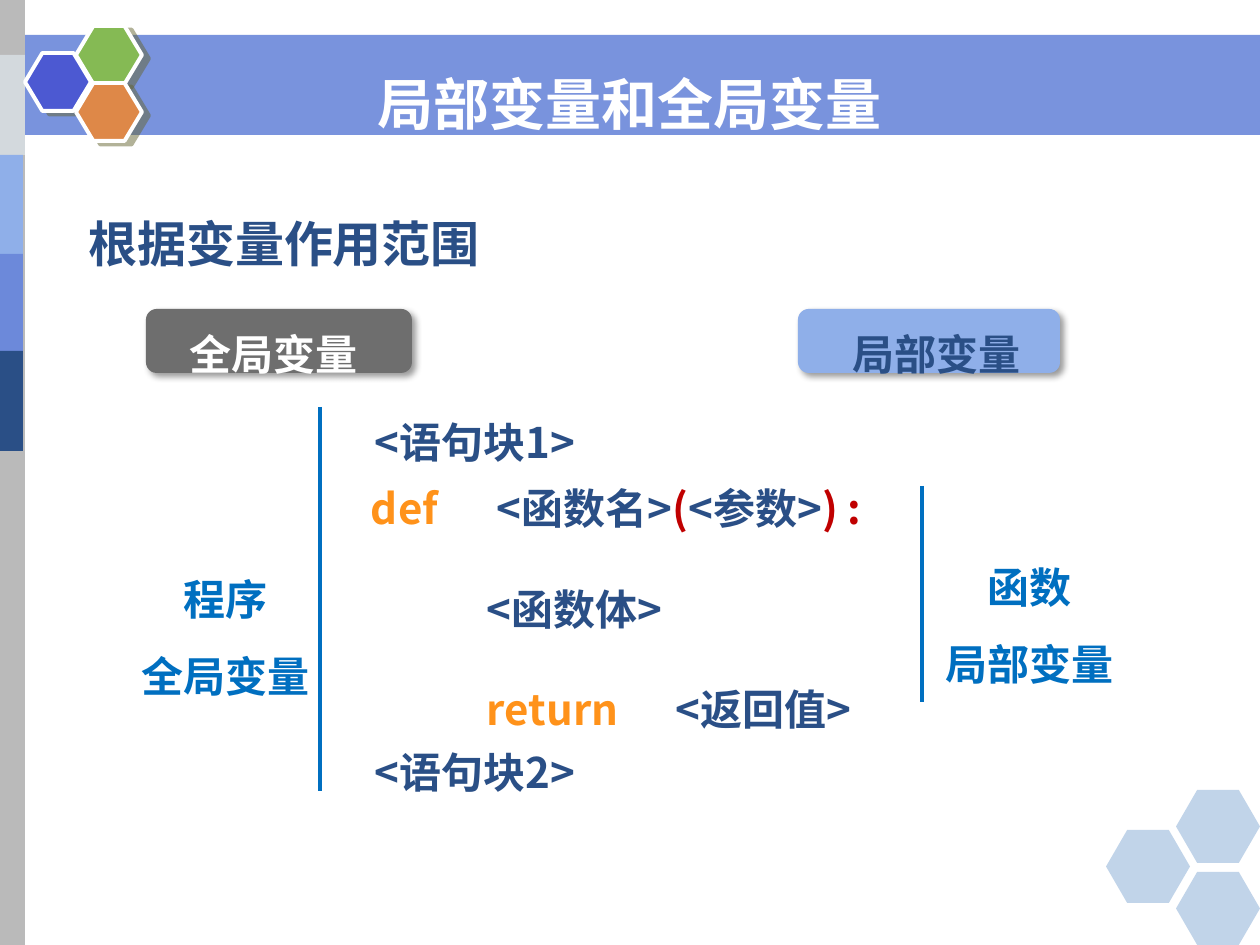
import pptx
import pptx.dml.color
import pptx.enum.dml
import pptx.enum.shapes
import pptx.enum.text
import pptx.oxml
import pptx.oxml.ns
import pptx.util

RGB = pptx.dml.color.RGBColor
SHAPE = pptx.enum.shapes.MSO_SHAPE
ALIGN = pptx.enum.text.PP_ALIGN
ANCHOR = pptx.enum.text.MSO_ANCHOR

WHITE = RGB(0xFF, 0xFF, 0xFF)
BAND = RGB(0x6C, 0x89, 0xDA)
RAIL = RGB(0xBA, 0xBA, 0xBA)
PALE = RGB(0xD3, 0xD9, 0xDD)
SKY = RGB(0x8F, 0xAF, 0xE9)
NAVY = RGB(0x2A, 0x4F, 0x86)
INDIGO = RGB(0x4C, 0x59, 0xD2)
GREEN = RGB(0x85, 0xBA, 0x54)
RUST = RGB(0xDE, 0x88, 0x48)
STEEL = RGB(0x50, 0x86, 0xC2)
GRAY = RGB(0x6E, 0x6E, 0x6E)
BLUE = RGB(0x00, 0x6F, 0xC0)
ORANGE = RGB(0xFF, 0x92, 0x1A)
RED = RGB(0xC0, 0x00, 0x00)
OLIVE = RGB(0x66, 0x66, 0x33)
BLACK = RGB(0x00, 0x00, 0x00)

SANS = "Noto Sans CJK SC"
TITLE_FONT = "DejaVu Sans"

BARS = [
    ((0, 35, 1260, 100), BAND, 91),
    ((-1, 0, 26, 945), RAIL, 100),
    ((0, 55, 25, 100), PALE, 100),
    ((-2, 155, 25, 100), SKY, 100),
    ((-2, 254, 25, 100), BAND, 100),
    ((-2, 351, 25, 100), NAVY, 100),
]
BADGE_HEXAGONS = [((25, 53), INDIGO), ((76, 26), GREEN), ((76, 83), RUST)]
CORNER_HEXAGONS = [(1106, 830), (1176, 790), (1176, 872)]
BADGE_SIZE, CORNER_SIZE = (66, 58), (84, 73)
BADGE_SHADOW = (OLIVE, 50, 0, 4.5, 27)
PILL_SHADOW = (BLACK, 40, 4, 3, 45)

PILLS = [
    ((798, 309, 262, 64), SKY, (798, 311, 277, 74), "局部变量", NAVY),
    ((146, 309, 266, 64), GRAY, (146, 311, 256, 74), "全局变量", WHITE),
]
STATEMENTS = [((374, 413, 438, 53), "<语句块1>"), ((374, 743, 394, 53), "<语句块2>")]
FUNCTION_BOX = (370, 479, 854, 256)
FUNCTION_LINES = [
    (1, 117, [("def\t", ORANGE), ("<函数名>", NAVY), ("(", RED), ("<参数>", NAVY), (") :", RED)]),
    (117, None, [("<函数体>", NAVY)]),
    (117, 304, [("return\t", ORANGE), ("<返回值>", NAVY)]),
]
SCOPES = [
    ((864, 534, 331, 156), ["函数", "局部变量"]),
    ((54, 546, 343, 156), ["程序", "全局变量"]),
]
SCOPE_LINES = [(922, 486, 702), (320, 407, 791)]


def px(count):
    return pptx.util.Emu(round(count * 914400 / 126))


def add_effects(shape, shadow):
    effects = pptx.oxml.parse_xml(f'<a:effectLst {pptx.oxml.ns.nsdecls("a")}/>')
    if shadow:
        color, alpha, blur, distance, angle = shadow
        effects.append(pptx.oxml.parse_xml(
            f'<a:outerShdw {pptx.oxml.ns.nsdecls("a")} blurRad="{blur * 12700}" '
            f'dist="{int(distance * 12700)}" dir="{angle * 60000}" algn="tl" rotWithShape="0">'
            f'<a:srgbClr val="{color}"><a:alpha val="{alpha * 1000}"/></a:srgbClr></a:outerShdw>'))
    shape._element.spPr.append(effects)


def add_solid(page, kind, place, color, alpha=100, outline=None, shadow=None, adjust=None):
    shape = page.shapes.add_shape(kind, *map(px, place))
    shape.fill.solid()
    shape.fill.fore_color.rgb = color
    if alpha < 100:
        tint = shape.fill._xPr.find(".//" + pptx.oxml.ns.qn("a:srgbClr"))
        tint.append(pptx.oxml.parse_xml(
            f'<a:alpha {pptx.oxml.ns.nsdecls("a")} val="{alpha * 1000}"/>'))
    if outline:
        shape.line.color.rgb = outline
        shape.line.width = pptx.util.Pt(2.25)
    else:
        shape.line.fill.background()
    if adjust:
        shape.adjustments[0] = adjust
    if shadow:
        add_effects(shape, shadow)
    else:
        shape.shadow.inherit = False


def add_text(page, place, lines, leading, size=24, face=SANS, align=ALIGN.LEFT,
             anchor=ANCHOR.TOP, tight=False, gap=0):
    box = page.shapes.add_textbox(*map(px, place))
    frame = box.text_frame
    settings = {"word_wrap": True, "vertical_anchor": anchor}
    if tight:
        settings.update(margin_left=0, margin_right=0, margin_top=px(1), margin_bottom=0)
    for name, value in settings.items():
        setattr(frame, name, value)
    for index, (indent, tab, spans) in enumerate(lines):
        para = frame.add_paragraph() if index else frame.paragraphs[0]
        props = para._p.get_or_add_pPr()
        if indent:
            props.set("marL", str(px(indent)))
            props.set("indent", "0")
        if tab:
            props.append(pptx.oxml.parse_xml(
                f'<a:tabLst {pptx.oxml.ns.nsdecls("a")}><a:tab pos="{px(tab)}" algn="l"/></a:tabLst>'))
        para.alignment = align
        para.line_spacing = pptx.util.Pt(leading)
        if index and gap:
            para.space_before = pptx.util.Pt(gap)
        for text, color in spans:
            span = para.add_run()
            span.text = text
            formats = {"name": face, "size": pptx.util.Pt(size), "bold": True}
            for name, value in formats.items():
                setattr(span.font, name, value)
            span.font.color.rgb = color


def plain(texts, color, indent=0):
    return [(indent, None, [(text, color)]) for text in texts]


def main():
    deck = pptx.Presentation()
    deck.slide_width, deck.slide_height = px(1260), px(945)
    page = deck.slides.add_slide(deck.slide_layouts[6])

    for place, color, alpha in BARS:
        add_solid(page, SHAPE.RECTANGLE, place, color, alpha)
    for corner, color in BADGE_HEXAGONS:
        add_solid(page, SHAPE.HEXAGON, corner + BADGE_SIZE, color, outline=WHITE,
                  shadow=BADGE_SHADOW, adjust=0.3)
    for corner in CORNER_HEXAGONS:
        add_solid(page, SHAPE.HEXAGON, corner + CORNER_SIZE, STEEL, 35, adjust=0.29)

    add_text(page, (0, 59, 1260, 81), plain(["局部变量和全局变量"], WHITE), 42, 32,
             TITLE_FONT, ALIGN.CENTER, ANCHOR.MIDDLE)
    add_text(page, (76, 205, 455, 72), plain(["根据变量作用范围"], NAVY), 35, 28)
    for place, fill, label_place, label, color in PILLS:
        add_solid(page, SHAPE.ROUNDED_RECTANGLE, place, fill, shadow=PILL_SHADOW)
        add_text(page, label_place, plain([label], color), 35.5, align=ALIGN.CENTER)

    for place, text in STATEMENTS:
        add_text(page, place, plain([text], NAVY, 1), 30, tight=True)
    add_text(page, FUNCTION_BOX, FUNCTION_LINES, 30, tight=True, gap=27.7)
    for x, top, bottom in SCOPE_LINES:
        line = page.shapes.add_connector(
            pptx.enum.shapes.MSO_CONNECTOR.STRAIGHT, px(x), px(top), px(x), px(bottom))
        line.line.color.rgb = BLUE
        line.line.width = pptx.util.Pt(1.98)
        add_effects(line, None)
    for place, texts in SCOPES:
        add_text(page, place, plain(texts, BLUE), 44, align=ALIGN.CENTER, tight=True)

    deck.save("out.pptx")


if __name__ == "__main__":
    main()
